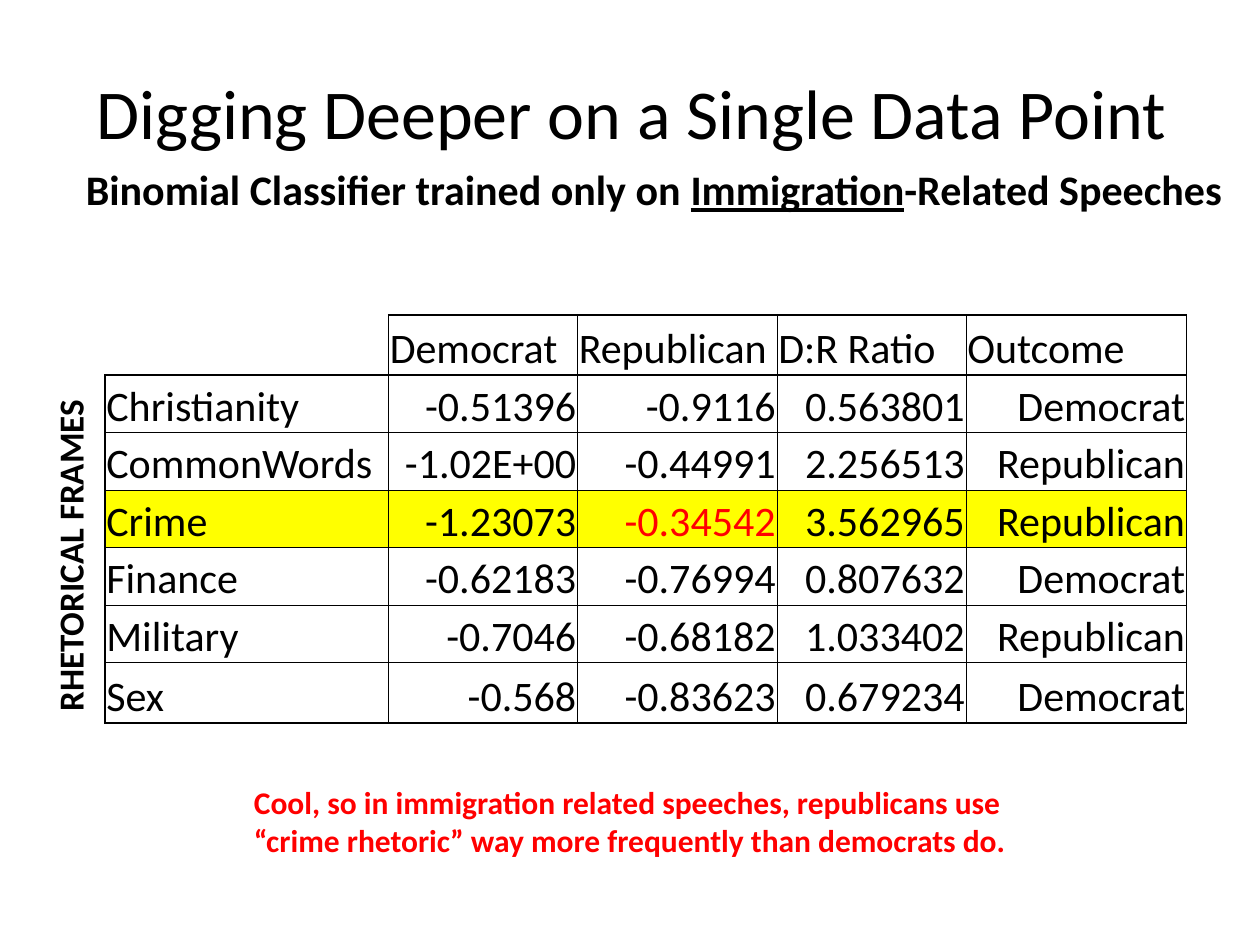
"""Builds the slide on rhetorical frames in immigration speeches."""
from lxml.etree import SubElement
from pptx import Presentation
from pptx.dml.color import RGBColor
from pptx.enum.text import MSO_ANCHOR, MSO_AUTO_SIZE, PP_ALIGN
from pptx.oxml.ns import qn
from pptx.util import Pt

COLORS = {"ink": "000000", "red": "FF0000", "mark": "FFFF00"}
FONT = "Calibri"
TITLE = "Digging Deeper on a Single Data Point"
LEAD = [("Binomial Classifier trained only on ", False),
        ("Immigration", True), ("-Related Speeches", False)]
SIDE = [("RHETORICAL FRAMES", False)]
NOTE = [("Cool, so in immigration related speeches, republicans use "
         "“crime rhetoric” way more frequently than democrats do.", False)]
ROWS = [
    ("", "Democrat", "Republican", "D:R Ratio", "Outcome"),
    ("Christianity", "-0.51396", "-0.9116", "0.563801", "Democrat"),
    ("CommonWords", "-1.02E+00", "-0.44991", "2.256513", "Republican"),
    ("Crime", "-1.23073", "-0.34542", "3.562965", "Republican"),
    ("Finance", "-0.62183", "-0.76994", "0.807632", "Democrat"),
    ("Military", "-0.7046", "-0.68182", "1.033402", "Republican"),
    ("Sex", "-0.568", "-0.83623", "0.679234", "Democrat"),
]
WIDTHS = [162, 108, 114, 108, 126]
HEIGHTS = [34.4] + [32.9] * 5 + [34.4]
MARKED = "Crime"
KEY = "-0.34542"


def add_run(para, text, size, color="ink", bold=False, under=False):
    run = para.add_run()
    run.text = text
    font = run.font
    font.name, font.size, font.bold, font.underline = FONT, Pt(size), bold, under
    font.color.rgb = RGBColor.from_string(COLORS[color])


def place(shape, box):
    shape.left, shape.top, shape.width, shape.height = map(Pt, box)


def add_label(box, runs, size, color="ink", wrap=True, turn=0):
    shape = slide.shapes.add_textbox(*map(Pt, box))
    shape.rotation = turn
    frame = shape.text_frame
    frame.word_wrap = wrap
    frame.auto_size = MSO_AUTO_SIZE.SHAPE_TO_FIT_TEXT
    for text, under in runs:
        add_run(frame.paragraphs[0], text, size, color, True, under)


def add_edge(cell, side, width):
    props = cell._tc.get_or_add_tcPr()
    line = SubElement(props, qn("a:ln" + side), w=str(Pt(width)))
    if width:
        fill = SubElement(line, qn("a:solidFill"))
        SubElement(fill, qn("a:srgbClr"), val=COLORS["ink"])
    else:
        SubElement(line, qn("a:noFill"))


def weight(edge, count):
    return 1 if edge in (0, 1, count) else 0.5


def fill_cell(cell, r, c):
    text = ROWS[r][c]
    corner = r == c == 0
    add_edge(cell, "L", 0 if corner else weight(c, len(WIDTHS)))
    add_edge(cell, "R", weight(c + 1, len(WIDTHS)))
    add_edge(cell, "T", 0 if corner else weight(r, len(ROWS)))
    add_edge(cell, "B", weight(r + 1, len(ROWS)))
    if ROWS[r][0] == MARKED:
        cell.fill.solid()
        cell.fill.fore_color.rgb = RGBColor.from_string(COLORS["mark"])
    else:
        cell.fill.background()
    cell.vertical_anchor = MSO_ANCHOR.BOTTOM
    cell.margin_left = cell.margin_right = cell.margin_top = Pt(0.75)
    cell.margin_bottom = 0
    if text:
        para = cell.text_frame.paragraphs[0]
        para.alignment = PP_ALIGN.RIGHT if r and c else PP_ALIGN.LEFT
        add_run(para, text, 24, "red" if text == KEY else "ink")


deck = Presentation()
deck.slide_width, deck.slide_height = Pt(720), Pt(540)
slide = deck.slides.add_slide(deck.slide_layouts[5])

title = slide.shapes.title
place(title, (48, 36, 646.5, 55.5))
frame = title.text_frame
frame.word_wrap = False
frame.auto_size = MSO_AUTO_SIZE.NONE
frame.vertical_anchor = MSO_ANCHOR.TOP
frame.paragraphs[0].alignment = PP_ALIGN.LEFT
add_run(frame.paragraphs[0], TITLE, 40)

grid = slide.shapes.add_table(len(ROWS), len(WIDTHS), Pt(60), Pt(180),
                              Pt(sum(WIDTHS)), Pt(sum(HEIGHTS))).table
grid.first_row = grid.horz_banding = False
for col, width in zip(grid.columns, WIDTHS):
    col.width = Pt(width)
for r, height in enumerate(HEIGHTS):
    grid.rows[r].height = Pt(height)
    for c in range(len(WIDTHS)):
        fill_cell(grid.cell(r, c), r, c)

add_label((42, 90, 670, 36), LEAD, 24, wrap=False)
add_label((-116, 242, 312, 31.5), SIDE, 20, turn=270)
add_label((138, 444, 456, 51), NOTE, 18, "red")

deck.save("out.pptx")
